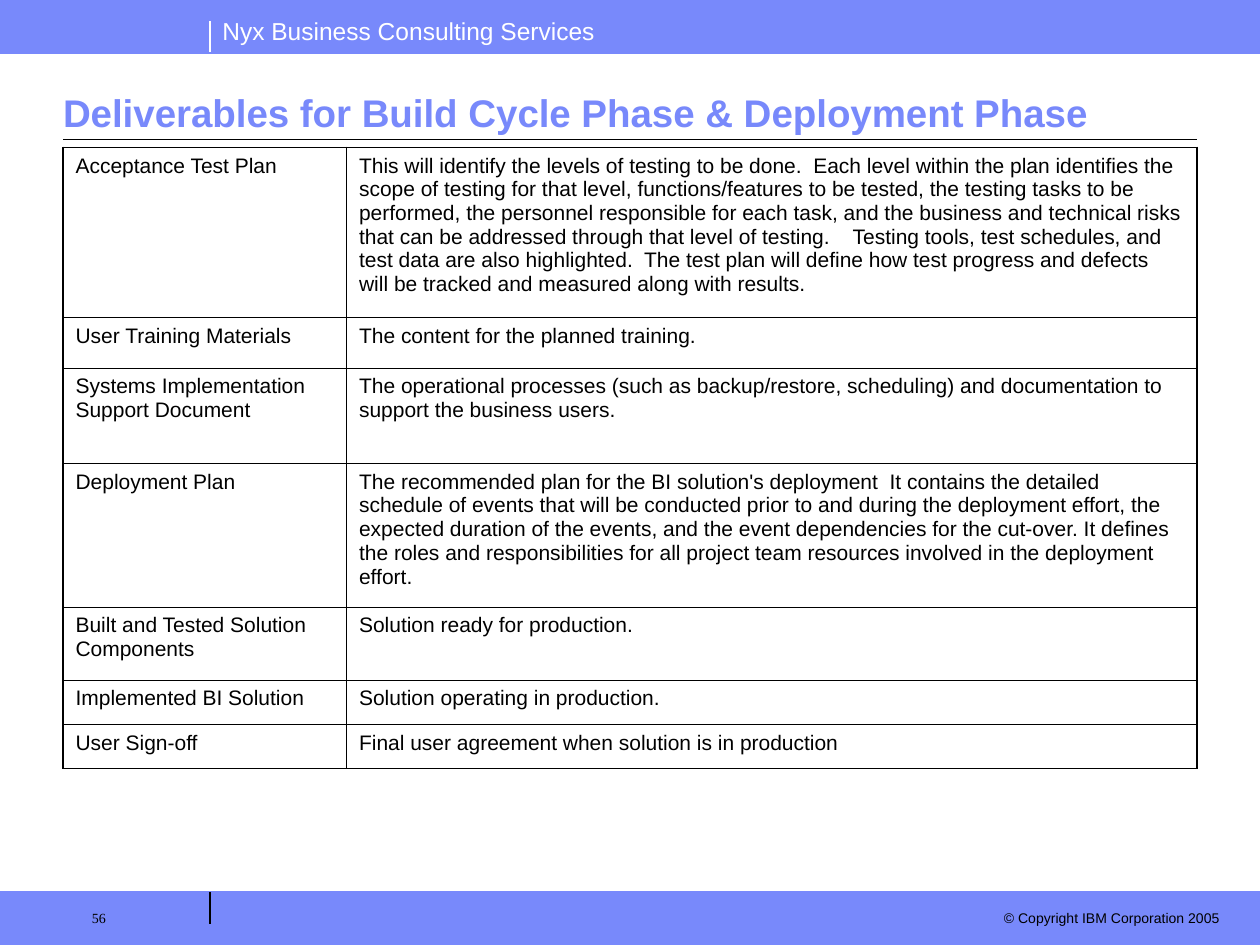
import pptx
import pptx.dml.color
import pptx.enum.shapes
import pptx.enum.text
import pptx.oxml
import pptx.oxml.ns
import pptx.util

COLORS = {"band": "7889FB", "ink": "000000", "paper": "FFFFFF"}
WIDTH, HEIGHT = 10, 7.5
MARGIN = WIDTH / 20
BAND_HEIGHT = 0.42
FOOTER_TOP = HEIGHT - BAND_HEIGHT
DIVIDER_LEFT = WIDTH / 6
DIVIDER_LENGTH = 0.25
TABLE_TOP = 1.17
COLUMN_SHARES = [0.25, 0.75]
THIN, THICK = 0.45, 1.08

DELIVERABLES = [
    (1.35, "Acceptance Test Plan",
     "This will identify the levels of testing to be done.  Each level within the plan "
     "identifies the scope of testing for that level, functions/features to be tested, "
     "the testing tasks to be performed, the personnel responsible for each task, and "
     "the business and technical risks that can be addressed through that level of "
     "testing.    Testing tools, test schedules, and test data are also highlighted.  "
     "The test plan will define how test progress and defects will be tracked and "
     "measured along with results."),
    (0.4, "User Training Materials", "The content for the planned training."),
    (0.76, "Systems Implementation Support Document",
     "The operational processes (such as backup/restore, scheduling) and documentation "
     "to support the business users."),
    (1.14, "Deployment Plan",
     "The recommended plan for the BI solution's deployment  It contains the detailed "
     "schedule of events that will be conducted prior to and during the deployment "
     "effort, the expected duration of the events, and the event dependencies for the "
     "cut-over. It defines the roles and responsibilities for all project team "
     "resources involved in the deployment effort."),
    (0.58, "Built and Tested Solution Components", "Solution ready for production."),
    (0.35, "Implemented BI Solution", "Solution operating in production."),
    (0.35, "User Sign-off", "Final user agreement when solution is in production"),
]


def color(name):
    return pptx.dml.color.RGBColor.from_string(COLORS[name])


def box(left, top, width, height):
    return [pptx.util.Inches(value) for value in (left, top, width, height)]


def write(text_frame, text, size, ink="ink", font="Arial", bold=False):
    text_frame.text = text
    paragraph = text_frame.paragraphs[0]
    for run in paragraph.runs:
        run.font.size = pptx.util.Pt(size)
        run.font.name = font
        run.font.bold = bold
        run.font.color.rgb = color(ink)
    return paragraph


def add_band(slide, top):
    shape = slide.shapes.add_shape(
        pptx.enum.shapes.MSO_SHAPE.RECTANGLE, *box(0, top, WIDTH, BAND_HEIGHT))
    shape.shadow.inherit = False
    shape.fill.solid()
    shape.fill.fore_color.rgb = color("band")
    shape.line.color.rgb = color("band")
    shape.line.width = pptx.util.Pt(0.75)


def add_line(slide, start, end, ink, width=0.75):
    connector = slide.shapes.add_connector(
        pptx.enum.shapes.MSO_CONNECTOR.STRAIGHT, *box(*start, *end))
    connector.line.color.rgb = color(ink)
    connector.line.width = pptx.util.Pt(width)
    pptx.oxml.ns.qn("a:effectLst")
    properties = connector.element.spPr
    properties.append(properties.makeelement(pptx.oxml.ns.qn("a:effectLst"), {}))


def add_text(slide, place, text, size, wrap=True, **style):
    text_frame = slide.shapes.add_textbox(*box(*place)).text_frame
    text_frame.word_wrap = wrap
    return text_frame, write(text_frame, text, size, **style)


def set_title(slide, text):
    title = slide.shapes.title
    title.left, title.top, title.width, title.height = box(
        MARGIN, 0.67, WIDTH - 2 * MARGIN, 0.45)
    text_frame = title.text_frame
    text_frame.margin_left = text_frame.margin_right = 0
    text_frame.vertical_anchor = pptx.enum.text.MSO_ANCHOR.BOTTOM
    text_frame.auto_size = pptx.enum.text.MSO_AUTO_SIZE.NONE
    paragraph = write(text_frame, text, 22, ink="band", bold=True)
    paragraph.alignment = pptx.enum.text.PP_ALIGN.LEFT


def set_borders(cell, outer_sides):
    properties = cell._tc.get_or_add_tcPr()
    for position, side in enumerate("LRTB"):
        width = pptx.util.Pt(THICK if side in outer_sides else THIN)
        properties.insert(position, pptx.oxml.parse_xml(
            f'<a:ln{side} {pptx.oxml.ns.nsdecls("a")} w="{width}"><a:solidFill>'
            f'<a:srgbClr val="{COLORS["ink"]}"/></a:solidFill></a:ln{side}>'))


def add_deliverables(slide):
    table_width = WIDTH - 2 * MARGIN
    table_height = sum(height for height, *_ in DELIVERABLES)
    table = slide.shapes.add_table(
        len(DELIVERABLES), len(COLUMN_SHARES),
        *box(MARGIN, TABLE_TOP, table_width, table_height)).table
    table.first_row = table.horz_banding = False
    for column, share in zip(table.columns, COLUMN_SHARES):
        column.width = pptx.util.Inches(share * table_width)
    last_row = len(DELIVERABLES) - 1
    for row, (height, *texts) in enumerate(DELIVERABLES):
        table.rows[row].height = pptx.util.Inches(height)
        vertical_side = {0: "T", last_row: "B"}.get(row, "")
        for column, text in enumerate(texts):
            cell = table.cell(row, column)
            cell.fill.background()
            write(cell.text_frame, text, 12).line_spacing = 1.01
            set_borders(cell, "LR"[column] + vertical_side)


def add_header(slide):
    add_band(slide, 0)
    add_text(slide, (DIVIDER_LEFT, 0.08, 3.17, 0.34),
             "Nyx Business Consulting Services", 14, wrap=False, ink="paper")
    add_line(slide, (DIVIDER_LEFT, BAND_HEIGHT),
             (DIVIDER_LEFT, BAND_HEIGHT - DIVIDER_LENGTH), "paper")
    add_line(slide, (0, BAND_HEIGHT), (WIDTH, BAND_HEIGHT), "band", 0.5)
    add_line(slide, (MARGIN, 1.11), (WIDTH - MARGIN, 1.11), "ink")


def add_footer(slide):
    add_band(slide, FOOTER_TOP)
    add_line(slide, (0, FOOTER_TOP), (WIDTH, FOOTER_TOP), "band", 0.5)
    add_line(slide, (DIVIDER_LEFT, FOOTER_TOP + DIVIDER_LENGTH),
             (DIVIDER_LEFT, FOOTER_TOP), "ink")
    _, notice = add_text(slide, (7.83, 7.17, 1.95, 0.24),
                         "© Copyright IBM Corporation 2005", 8)
    notice.alignment = pptx.enum.text.PP_ALIGN.RIGHT
    number_frame, _ = add_text(slide, (0.33, 7.15, 1.33, 0.35), "56", 8,
                               font="Times New Roman")
    number_frame.margin_left = pptx.util.Inches(0.4)
    number_frame.margin_top = pptx.util.Inches(0.07)


def main():
    presentation = pptx.Presentation()
    presentation.slide_width = pptx.util.Inches(WIDTH)
    presentation.slide_height = pptx.util.Inches(HEIGHT)
    slide = presentation.slides.add_slide(presentation.slide_layouts[5])
    add_header(slide)
    set_title(slide, "Deliverables for Build Cycle Phase & Deployment Phase")
    add_deliverables(slide)
    add_footer(slide)
    presentation.save("out.pptx")


if __name__ == "__main__":
    main()
